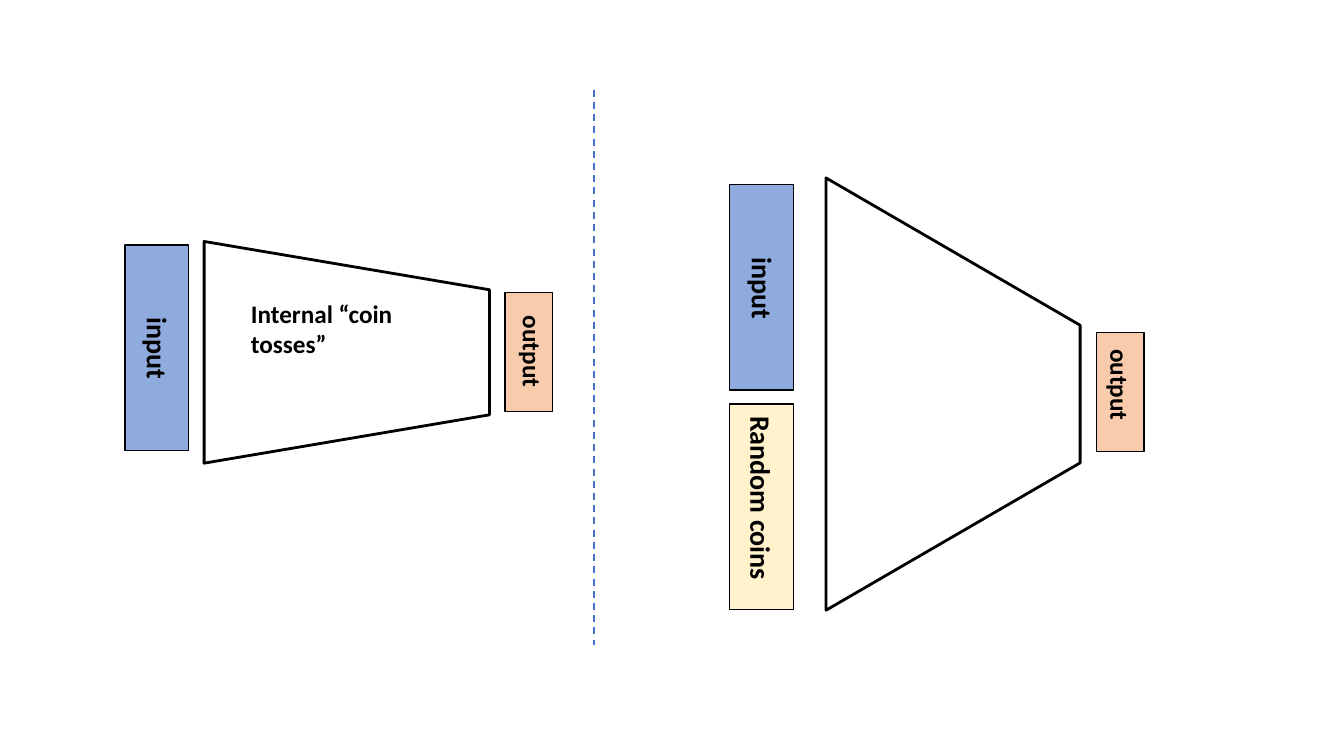
from dataclasses import dataclass

from lxml.etree import SubElement
from pptx import Presentation
from pptx.dml.color import RGBColor
from pptx.enum.dml import MSO_LINE
from pptx.enum.shapes import MSO_CONNECTOR, MSO_SHAPE
from pptx.enum.text import MSO_AUTO_SIZE, PP_ALIGN
from pptx.oxml.ns import qn
from pptx.util import Inches, Pt


@dataclass(frozen=True)
class Theme:
    font: str = "Calibri"
    ink: str = "000000"
    input: str = "8FAADC"
    output: str = "F8CBAD"
    coins: str = "FFF2CC"
    divider: str = "4472C4"
    large: int = 20
    medium: int = 18
    thin: float = 1
    divider_width: float = 1.25
    thick: float = 2


THEME = Theme()
COLUMNS, ROWS = 160, 90
TALL_BAR = (7.56, 24.48)
SHORT_BAR = (5.64, 14.16)

# text, fill, type size, bar size, bar centre, label size, label shift
BARS = [
    ("input", THEME.input, THEME.large, TALL_BAR, (18.66, 41.4), (11.64, 5.28), (0.12, 1.08)),
    ("output", THEME.output, THEME.medium, SHORT_BAR, (62.94, 41.88), (11.64, 4.8), (0.48, 0.36)),
    ("input", THEME.input, THEME.large, TALL_BAR, (90.66, 34.2), (11.64, 5.28), (0.12, 1.08)),
    ("output", THEME.output, THEME.medium, SHORT_BAR, (133.38, 46.68), (11.64, 4.8), (0, -0.48)),
    ("Random coins", THEME.coins, THEME.large, TALL_BAR, (90.66, 60.36), (22.56, 5.28), (-0.06, -0.72)),
]
# centre, size before turning, slant
MACHINES = [
    ((41.28, 41.94), (26.4, 33.96), 0.218),
    ((113.46, 46.92), (51.48, 30.24), 0.58),
]
COIN_TOSSES = ("Internal “coin tosses”", (38.7, 39.18), (20.04, 8.52))
DIVIDER_COLUMN, DIVIDER_ROWS = 70.68, (10.68, 76.8)

deck = Presentation()
deck.slide_width, deck.slide_height = Inches(13.33), Inches(7.5)
slide = deck.slides.add_slide(deck.slide_layouts[6])


def across(columns):
    return round(deck.slide_width * columns / COLUMNS)


def down(rows):
    return round(deck.slide_height * rows / ROWS)


def frame(centre, size):
    width, height = across(size[0]), down(size[1])
    left, top = across(centre[0]) - width // 2, down(centre[1]) - height // 2
    return left, top, width, height


def set_line(item, color, width):
    item.line.color.rgb = RGBColor.from_string(color)
    item.line.width = Pt(width)


def add_outline(kind, centre, size, width, fill=None):
    outline = slide.shapes.add_shape(kind, *frame(centre, size))
    outline.shadow.inherit = False
    if fill:
        outline.fill.solid()
        outline.fill.fore_color.rgb = RGBColor.from_string(fill)
    else:
        outline.fill.background()
    set_line(outline, THEME.ink, width)
    return outline


def add_label(text, centre, size, points, turn=0):
    label = slide.shapes.add_textbox(*frame(centre, size))
    label.rotation = turn
    label.text_frame.word_wrap = True
    label.text_frame.auto_size = MSO_AUTO_SIZE.SHAPE_TO_FIT_TEXT
    paragraph = label.text_frame.paragraphs[0]
    paragraph.alignment = PP_ALIGN.LEFT
    run = paragraph.add_run()
    run.text = text
    run.font.name = THEME.font
    run.font.size = Pt(points)
    run.font.bold = True
    run.font.color.rgb = RGBColor.from_string(THEME.ink)


def main():
    for centre, size, slant in MACHINES:
        machine = add_outline(MSO_SHAPE.TRAPEZOID, centre, size, THEME.thick)
        machine.adjustments[0] = slant
        machine.rotation = 90

    for text, fill, points, bar_size, centre, label_size, shift in BARS:
        add_outline(MSO_SHAPE.RECTANGLE, centre, bar_size, THEME.thin, fill)
        label_centre = (centre[0] + shift[0], centre[1] + shift[1])
        add_label(text, label_centre, label_size, points, turn=90)

    add_label(*COIN_TOSSES, THEME.medium)

    x = across(DIVIDER_COLUMN)
    top, bottom = map(down, DIVIDER_ROWS)
    divider = slide.shapes.add_connector(MSO_CONNECTOR.STRAIGHT, x, top, x, bottom)
    set_line(divider, THEME.divider, THEME.divider_width)
    divider.line.dash_style = MSO_LINE.DASH
    SubElement(divider._element.spPr, qn("a:effectLst"))

    deck.save("out.pptx")


if __name__ == "__main__":
    main()
